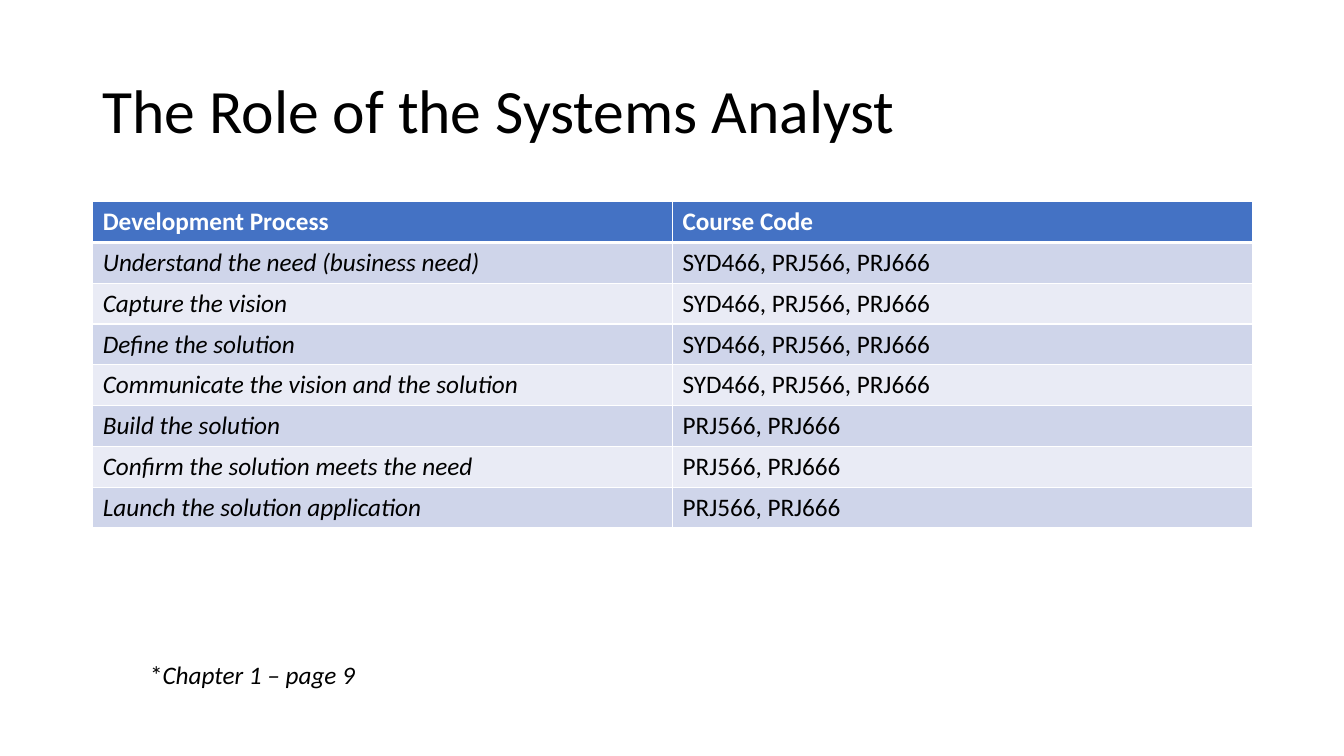
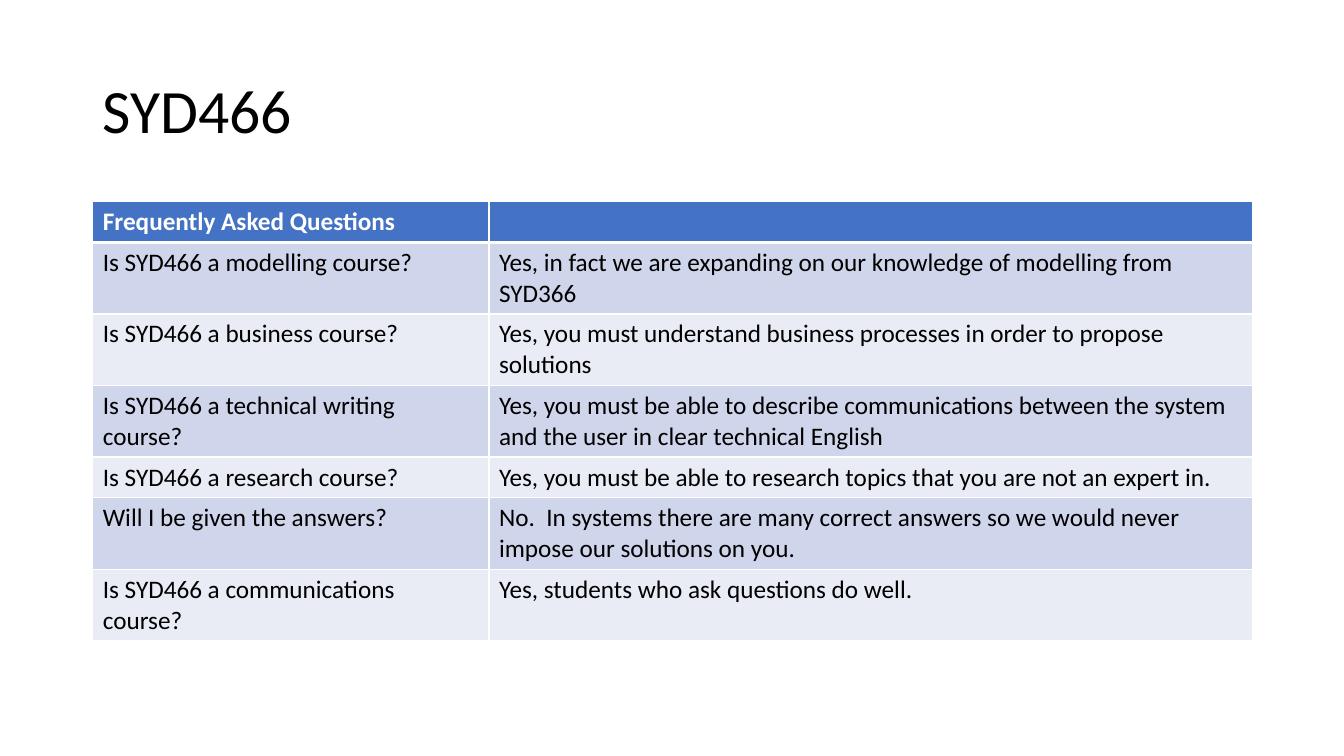
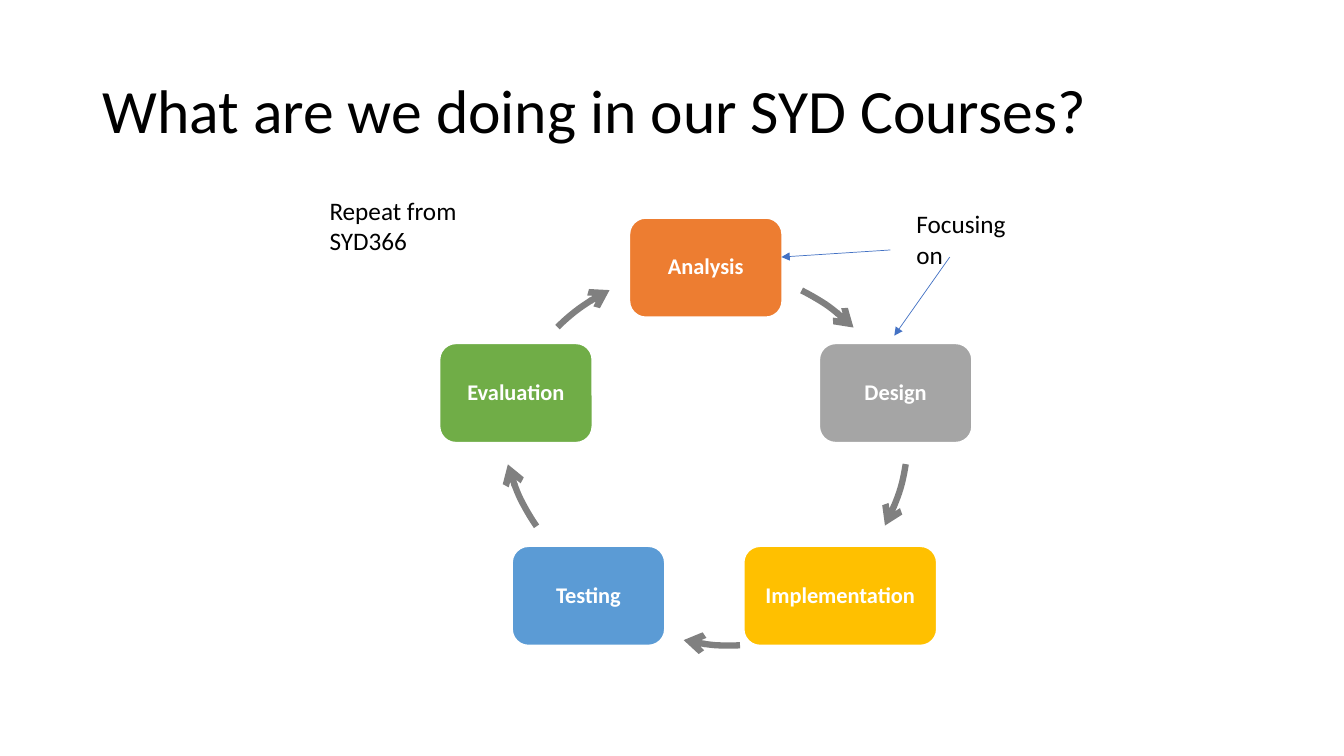
from lxml import etree
from pptx import Presentation
from pptx.dml.color import RGBColor
from pptx.enum import shapes, text
from pptx.oxml import ns
from pptx.util import Inches, Pt
import math

COLORS = {
    "text": "000000", "white": "FFFFFF", "header": "4472C4",
    "band_dark": "CFD5EA", "band_light": "E9EBF5", "cycle_arrow": "808080",
    "orange": "ED7D31", "gray": "A5A5A5", "gold": "FFC000",
    "blue": "5B9BD5", "green": "70AD47",
}
FONT = "Calibri"
TITLE_BOX = (0.92, 0.4, 11.5, 1.45)
TABLE_LEFT, TABLE_TOP = 0.92, 2
ONE_LINE, TWO_LINES = 3.24 / 8, 0.71

PROCESS_ROWS = [
    ("Development Process", "Course Code"),
    ("Understand the need (business need)", "SYD466, PRJ566, PRJ666"),
    ("Capture the vision", "SYD466, PRJ566, PRJ666"),
    ("Define the solution", "SYD466, PRJ566, PRJ666"),
    ("Communicate the vision and the solution", "SYD466, PRJ566, PRJ666"),
    ("Build the solution", "PRJ566, PRJ666"),
    ("Confirm the solution meets the need", "PRJ566, PRJ666"),
    ("Launch the solution application", "PRJ566, PRJ666"),
]
QUESTION_ROWS = [
    ("Frequently Asked Questions", ""),
    ("Is SYD466 a modelling course?",
     "Yes, in fact we are expanding on our knowledge of modelling from SYD366"),
    ("Is SYD466 a business course?",
     "Yes, you must understand business processes in order to propose solutions"),
    ("Is SYD466 a technical writing course?",
     "Yes, you must be able to describe communications between the system "
     "and the user in clear technical English"),
    ("Is SYD466 a research course?",
     "Yes, you must be able to research topics that you are not an expert in."),
    ("Will I be given the answers?",
     "No.  In systems there are many correct answers so we would never "
     "impose our solutions on you."),
    ("Is SYD466 a communications course?", "Yes, students who ask questions do well."),
]
QUESTION_HEIGHTS = [ONE_LINE, TWO_LINES, TWO_LINES, TWO_LINES,
                    ONE_LINE, TWO_LINES, TWO_LINES]
STAGES = [
    ("Analysis", "orange", 1.52, 0),
    ("Design", "gray", 1.52, 0),
    ("Implementation", "gold", 1.92, 0.17),
    ("Testing", "blue", 1.52, 0),
    ("Evaluation", "green", 1.52, 0),
]
STAGE_HEIGHT = 0.99
RADIUS_X, RADIUS_Y = 1.98, 1.8
ARC_RADIUS = 1.98
CYCLE_ARCS = [
    (0.07, 0.2, 296.4, 314.8),
    (0.03, -0.17, 9.3, 28),
    (0.24, -0.03, 87.1, 103.4),
    (-0.05, -0.36, 145.3, 165),
    (-0.08, 0.2, 225.4, 243.8),
]


def color(name):
    return RGBColor.from_string(COLORS[name])


def format_runs(paragraph, size, color_name, bold=False, italic=False):
    for run in paragraph.runs:
        run.font.name = FONT
        run.font.size = Pt(size)
        run.font.bold = bold
        run.font.italic = italic
        run.font.color.rgb = color(color_name)


def add_text(slide, box, content, size=18, wrap=False):
    shape = slide.shapes.add_textbox(*map(Inches, box))
    frame = shape.text_frame
    frame.word_wrap = wrap
    frame.text = content
    for paragraph in frame.paragraphs:
        format_runs(paragraph, size, "text")
    return frame


def add_titled_slide(presentation, title):
    slide = presentation.slides.add_slide(presentation.slide_layouts[6])
    frame = add_text(slide, TITLE_BOX, title, size=44, wrap=True)
    frame.vertical_anchor = text.MSO_ANCHOR.MIDDLE
    frame.paragraphs[0].line_spacing = 0.9
    return slide


def set_borders(cell, top, bottom):
    properties = cell._tc.get_or_add_tcPr()
    for side, width in (("L", 1), ("R", 1), ("T", top), ("B", bottom)):
        line = etree.SubElement(properties, ns.qn(f"a:ln{side}"), w=str(Pt(width)))
        fill = etree.SubElement(line, ns.qn("a:solidFill"))
        etree.SubElement(fill, ns.qn("a:srgbClr"), val=COLORS["white"])


def add_banded_table(slide, left, top, widths, heights, rows, italic_first=False):
    table = slide.shapes.add_table(
        len(rows), len(widths), Inches(left), Inches(top),
        Inches(sum(widths)), Inches(sum(heights))).table
    for column, width in zip(table.columns, widths):
        column.width = Inches(width)
    for table_row, height in zip(table.rows, heights):
        table_row.height = Inches(height)
    for row_index, row in enumerate(rows):
        header = row_index == 0
        band = "header" if header else "band_dark" if row_index % 2 else "band_light"
        for column_index, content in enumerate(row):
            cell = table.cell(row_index, column_index)
            set_borders(cell, 3 if row_index == 1 else 1, 3 if header else 1)
            cell.fill.solid()
            cell.fill.fore_color.rgb = color(band)
            cell.text_frame.text = content
            format_runs(cell.text_frame.paragraphs[0], 18,
                        "white" if header else "text", bold=header,
                        italic=italic_first and not header and column_index == 0)


def style_arrow(shape, color_name, width, head):
    shape.line.color.rgb = color(color_name)
    shape.line.width = Pt(width)
    etree.SubElement(shape.line._get_or_add_ln(), ns.qn("a:tailEnd"), type=head)


def add_stage(slide, center_x, center_y, label, fill, width):
    stage = slide.shapes.add_shape(
        shapes.MSO_SHAPE.ROUNDED_RECTANGLE,
        Inches(center_x - width / 2), Inches(center_y - STAGE_HEIGHT / 2),
        Inches(width), Inches(STAGE_HEIGHT))
    stage.shadow.inherit = False
    stage.fill.solid()
    stage.fill.fore_color.rgb = color(fill)
    stage.line.color.rgb = color("white")
    stage.line.width = Pt(1.5)
    frame = stage.text_frame
    frame.word_wrap = True
    frame.margin_left = frame.margin_right = Inches(0.07)
    frame.vertical_anchor = text.MSO_ANCHOR.MIDDLE
    frame.text = label
    paragraph = frame.paragraphs[0]
    paragraph.alignment = text.PP_ALIGN.CENTER
    paragraph.line_spacing = 0.9
    format_runs(paragraph, 16, "white", bold=True)


def add_cycle_arrow(slide, center_x, center_y, start, end):
    arrow = slide.shapes.add_shape(
        shapes.MSO_SHAPE.ARC,
        Inches(center_x - ARC_RADIUS), Inches(center_y - ARC_RADIUS),
        Inches(2 * ARC_RADIUS), Inches(2 * ARC_RADIUS))
    for index, degrees in enumerate((start, end)):
        arrow.adjustments[index] = degrees * 0.6
    arrow.shadow.inherit = False
    arrow.fill.background()
    style_arrow(arrow, "cycle_arrow", 4.5, "arrow")


def add_cycle(slide, left, top, width):
    center_x = left + width / 2
    center_y = top + STAGE_HEIGHT / 2 + RADIUS_Y
    for index, (label, fill, stage_width, shift) in enumerate(STAGES):
        angle = 2 * math.pi * index / len(STAGES)
        add_stage(slide, center_x + RADIUS_X * math.sin(angle) + shift,
                  center_y - RADIUS_Y * math.cos(angle), label, fill, stage_width)
    for shift_x, shift_y, start, end in CYCLE_ARCS:
        add_cycle_arrow(slide, center_x + shift_x, center_y + shift_y, start, end)


def add_pointer(slide, start, end):
    pointer = slide.shapes.add_connector(
        shapes.MSO_CONNECTOR.STRAIGHT, *map(Inches, start + end))
    style_arrow(pointer, "header", 0.5, "triangle")
    etree.SubElement(pointer._element.spPr, ns.qn("a:effectLst"))


def add_focus_note(slide, left, top):
    add_text(slide, (left, top, 1.15, 0.71), "Focusing\non")
    add_pointer(slide, (left - 0.16, top + 0.46), (left - 1.24, top + 0.53))
    add_pointer(slide, (left + 0.43, top + 0.53), (left - 0.12, top + 1.31))


def build_role_slide(presentation):
    slide = add_titled_slide(presentation, "The Role of the Systems Analyst")
    add_banded_table(slide, TABLE_LEFT, TABLE_TOP, (5.75, 5.75),
                     [ONE_LINE] * len(PROCESS_ROWS), PROCESS_ROWS,
                     italic_first=True)
    frame = add_text(slide, (1.39, 6.49, 2.26, 0.4), "*")
    paragraph = frame.paragraphs[0]
    paragraph.add_run().text = "Chapter 1 – page 9"
    format_runs(paragraph, 18, "text", italic=True)
    paragraph.runs[0].font.italic = False


def build_questions_slide(presentation):
    slide = add_titled_slide(presentation, "SYD466")
    add_banded_table(slide, TABLE_LEFT, TABLE_TOP, (3.93, 7.57),
                     QUESTION_HEIGHTS, QUESTION_ROWS)


def build_courses_slide(presentation):
    slide = add_titled_slide(presentation, "What are we doing in our SYD Courses?")
    add_cycle(slide, 4.35, 2.16, 5.3)
    add_text(slide, (3.17, 1.89, 1.53, 0.71), "Repeat from\nSYD366")
    add_focus_note(slide, 8.99, 2.02)


def main():
    presentation = Presentation()
    presentation.slide_width = Inches(13.33)
    presentation.slide_height = Inches(7.5)
    build_role_slide(presentation)
    build_questions_slide(presentation)
    build_courses_slide(presentation)
    presentation.save("out.pptx")


if __name__ == "__main__":
    main()
